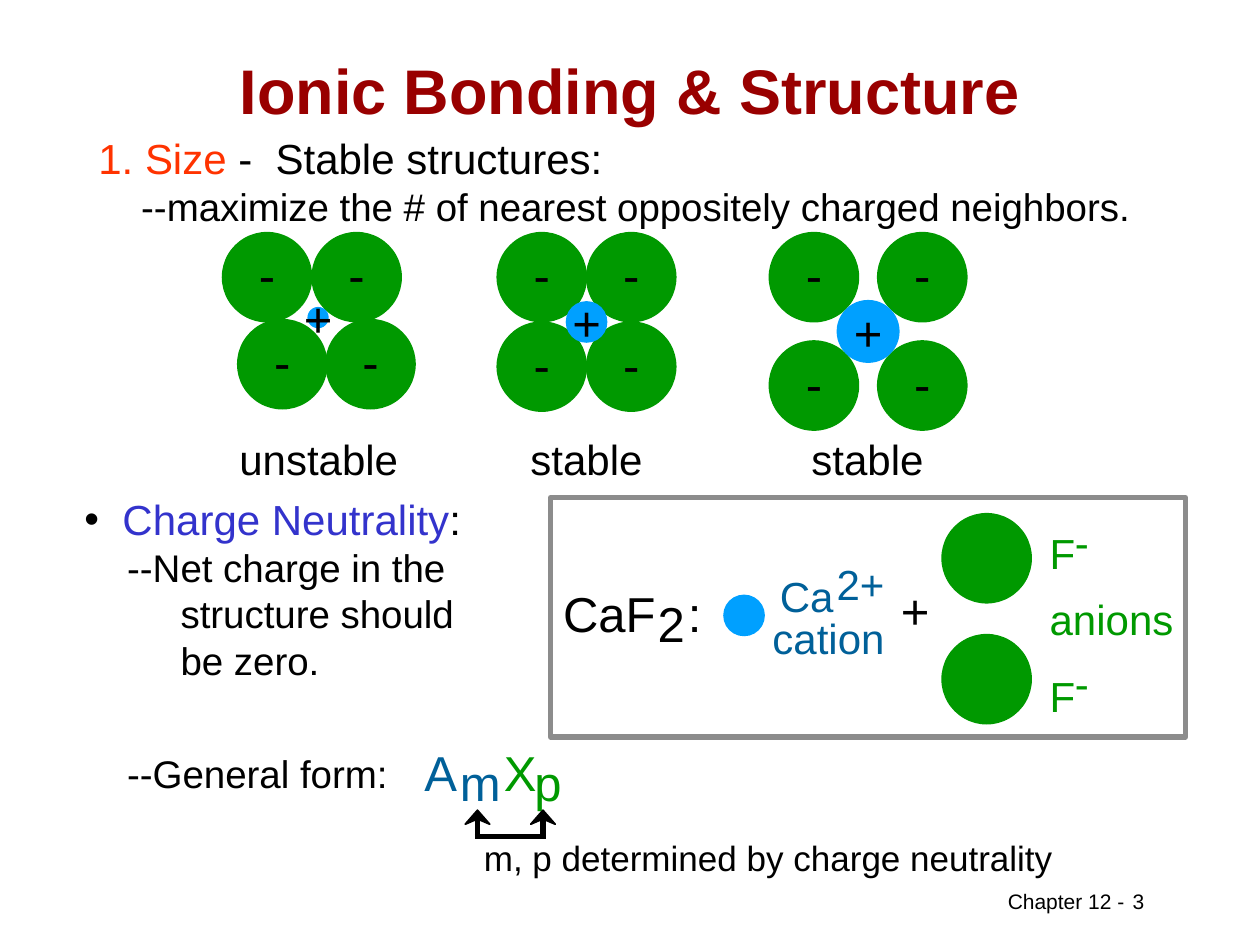
from dataclasses import dataclass
from typing import Any

from lxml import etree
from pptx import Presentation
from pptx.dml.color import RGBColor
from pptx.enum.shapes import MSO_CONNECTOR, MSO_SHAPE
from pptx.enum.text import MSO_ANCHOR, MSO_AUTO_SIZE, PP_ALIGN
from pptx.oxml.ns import qn
from pptx.util import Pt

LEFT, CENTER = PP_ALIGN.LEFT, PP_ALIGN.CENTER
MIDDLE, TOP = MSO_ANCHOR.MIDDLE, MSO_ANCHOR.TOP
NO_FIT = MSO_AUTO_SIZE.NONE
OVAL, RECTANGLE = MSO_SHAPE.OVAL, MSO_SHAPE.RECTANGLE
STRAIGHT = MSO_CONNECTOR.STRAIGHT
COLORS = {
    "text": "000000", "title": "990000", "size": "FF3300",
    "neutrality": "3333CC", "anion": "009900", "cation": "00A0FF",
    "cation_text": "006099", "frame": "8C8C8C",
}


@dataclass
class SlideBuilder:
    """Holds the style and the current slide; all lengths are in points."""
    page: Any
    font: str = "Arial"
    anion_size: float = 51.8

    def color(self, name):
        return RGBColor.from_string(COLORS[name])

    def span(self, para, text, size, color="text", bold=False):
        span = para.add_run()
        span.text = text
        span.font.name = self.font
        span.font.size = Pt(size)
        span.font.bold = bold
        span.font.color.rgb = self.color(color)

    def frame(self, box, margins=(0, 0), wrap=False, anchor=TOP):
        frame = box.text_frame
        frame.auto_size = NO_FIT
        frame.word_wrap = wrap
        frame.vertical_anchor = anchor
        frame.margin_left = frame.margin_right = Pt(margins[0])
        frame.margin_top = frame.margin_bottom = Pt(margins[1])
        return frame

    def place(self, box, left, top, width, height):
        box.left, box.top = Pt(left), Pt(top)
        box.width, box.height = Pt(width), Pt(height)

    def title(self, text, area):
        box = self.page.shapes.title
        self.place(box, *area)
        para = self.frame(box, wrap=True, anchor=MIDDLE).paragraphs[0]
        para.alignment = CENTER
        self.span(para, text, 36, "title", True)

    def bullet(self, para, indent, symbol):
        props = para._p.get_or_add_pPr()
        props.set("marL", str(Pt(indent)))
        props.set("indent", str(Pt(-indent if symbol else 0)))
        if symbol:
            tint = etree.SubElement(props, qn("a:buClr"))
            etree.SubElement(tint, qn("a:srgbClr")).set("val", COLORS["text"])
            etree.SubElement(props, qn("a:buChar")).set("char", symbol)
        else:
            etree.SubElement(props, qn("a:buNone"))

    def body(self, index, area, margins, lines):
        box = self.page.placeholders[index]
        self.place(box, *area)
        frame = self.frame(box, margins, wrap=True)
        for number, (indent, before, symbol, size, spans) in enumerate(lines):
            para = frame.add_paragraph() if number else frame.paragraphs[0]
            self.bullet(para, indent, symbol)
            para.alignment = LEFT
            para.space_before = Pt(before)
            for text, color in spans:
                self.span(para, text, size, color)

    def label(self, text, left, top, width, size, color="text",
              align=LEFT, margins=(0, 0)):
        height = size * 1.2 + 2 * margins[1]
        box = self.page.shapes.add_textbox(
            Pt(left), Pt(top), Pt(width), Pt(height))
        para = self.frame(box, margins).paragraphs[0]
        para.alignment = align
        self.span(para, text, size, color)

    def ion(self, x, y, size, color):
        disc = self.page.shapes.add_shape(
            OVAL, Pt(x - size / 2), Pt(y - size / 2), Pt(size), Pt(size))
        disc.shadow.inherit = False
        disc.fill.solid()
        disc.fill.fore_color.rgb = self.color(color)
        disc.line.fill.background()

    def sign(self, text, x, y):
        self.label(text, x - 8.3, y - 16.8, 16.6, 28, align=CENTER)

    def cluster(self, rows, cation):
        anions = [(x, y) for y, columns in rows for x in columns]
        for x, y in anions:
            self.ion(x, y, self.anion_size, "anion")
        self.ion(*cation, "cation")
        for x, y in anions:
            self.sign("-", x, y - 1.8)
        self.sign("+", *cation[:2])

    def border(self, left, top, width, height):
        border = self.page.shapes.add_shape(
            RECTANGLE, Pt(left), Pt(top), Pt(width), Pt(height))
        border.shadow.inherit = False
        border.fill.background()
        border.line.color.rgb = self.color("frame")
        border.line.width = Pt(3)

    def line(self, x1, y1, x2, y2):
        line = self.page.shapes.add_connector(
            STRAIGHT, Pt(x1), Pt(y1), Pt(x2), Pt(y2))
        line.line.color.rgb = self.color("text")
        line.line.width = Pt(3)
        etree.SubElement(line._element.spPr, qn("a:effectLst"))

    def arrow(self, x, tip, base):
        builder = self.page.shapes.build_freeform(Pt(x), Pt(tip))
        wings = [(7, 8), (0, 5), (-7, 8)]
        builder.add_line_segments(
            [(Pt(x + dx), Pt(tip + dy)) for dx, dy in wings], close=True)
        head = builder.convert_to_shape()
        head.shadow.inherit = False
        head.fill.solid()
        head.fill.fore_color.rgb = self.color("text")
        head.line.color.rgb = self.color("text")
        head.line.width = Pt(1)
        self.line(x, base, x, tip + 5)


def main():
    deck = Presentation()
    deck.slide_width, deck.slide_height = Pt(720), Pt(540)
    slide = SlideBuilder(deck.slides.add_slide(deck.slide_layouts[3]))

    slide.title("Ionic Bonding & Structure", (54, 30.2, 612, 41.8))
    slide.body(1, (49, 72, 620, 62.6), (7.2, 3.6), [
        (0, 0, "", 24, [("1. Size", "size"),
                        (" -  Stable structures:", "text")]),
        (24.5, 0, "", 22, [("--maximize the # of nearest oppositely "
                            "charged neighbors.", "text")]),
    ])
    slide.body(2, (48.2, 282.2, 230, 172.8), (0, 0), [
        (21.8, 0, "•", 24, [("Charge Neutrality", "neutrality"),
                            (":", "text")]),
        (24.5, 0, "", 22, [("--Net charge in the", "text")]),
        (55, 0, "", 22, [("structure should", "text")]),
        (55, 0, "", 22, [("be zero.", "text")]),
        (24.5, 38.3, "", 22, [("--General form:", "text")]),
    ])

    touching, spread = (309.6, 360.7), (465.1, 527)
    clusters = [
        ([(158.4, (152.6, 203.8)), (208.1, (161.3, 211.7))],
         (181.8, 181.5, 12.2), "unstable", 136.8, 90.7),
        ([(158.4, touching), (209.5, touching)],
         (335.2, 184, 23.8), "stable", 303.1, 64),
        ([(158.4, spread), (220.3, spread)],
         (496.1, 189.4, 36), "stable", 463.7, 64),
    ]
    for rows, cation, name, left, width in clusters:
        slide.cluster(rows, cation)
        slide.label(name, left, 247.7, width, 24)

    slide.border(314.6, 284.4, 362.9, 136.8)
    slide.ion(425.2, 351.7, 23.8, "cation")
    for y in (319, 388.1):
        slide.ion(563.8, y, slide.anion_size, "anion")

    labels = [
        ("CaF", 321.8, 333.4, 52.6, 28, "text"),
        ("2", 375.8, 339.1, 15.8, 28, "text"),
        (":", 393.1, 333.4, 7.9, 28, "text"),
        ("Ca", 445.7, 326.2, 31, 24, "cation_text"),
        ("2+", 478.1, 319, 27.4, 24, "cation_text"),
        ("cation", 441.4, 349.9, 64.1, 24, "cation_text"),
        ("+", 514.8, 331.9, 16.6, 28, "text"),
        ("F", 599.8, 301.7, 14.4, 24, "anion"),
        ("-", 614.2, 295.2, 7.9, 24, "anion"),
        ("anions", 599.8, 339.1, 70.6, 24, "anion"),
        ("F", 599.8, 383, 14.4, 24, "anion"),
        ("-", 614.2, 375.8, 7.9, 24, "anion"),
        ("A", 242.6, 424.1, 18.7, 28, "cation_text"),
        ("m", 262.8, 429.8, 23, 28, "cation_text"),
        ("X", 288, 424.1, 18.7, 28, "anion"),
        ("p", 305.3, 429.8, 15.8, 28, "anion"),
        ("m, p determined by charge neutrality",
         276.5, 478.1, 325.4, 20, "text"),
    ]
    for label in labels:
        slide.label(*label)

    for x in (272.9, 310.3):
        slide.arrow(x, 463, 477.4)
    slide.line(271.4, 478.1, 311.8, 478.1)

    slide.label("Chapter 12 -", 568.8, 504, 80.6, 12, margins=(7.2, 3.6))
    slide.label("3", 604.1, 504, 92.9, 12, align=CENTER, margins=(7.2, 3.6))
    deck.save("out.pptx")


if __name__ == "__main__":
    main()
